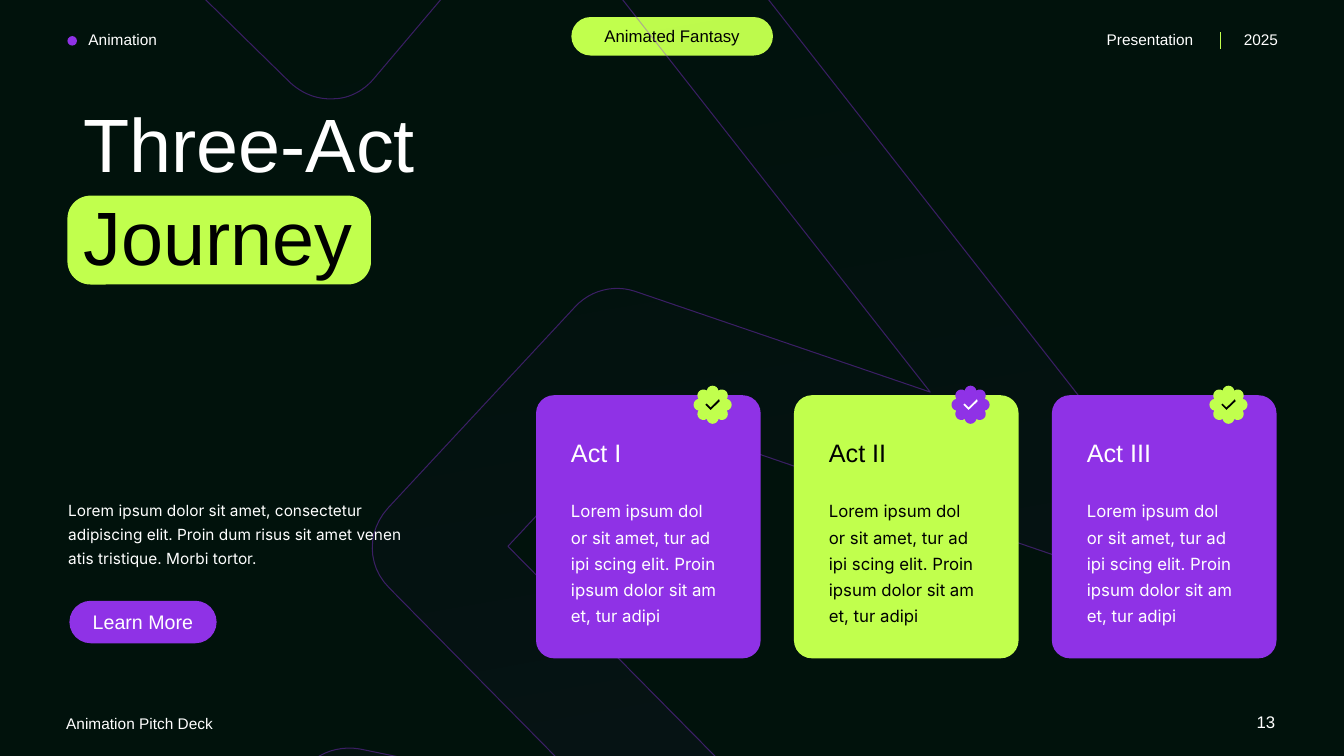
import math

import lxml.etree
import pptx
import pptx.dml.color
import pptx.enum.shapes
import pptx.enum.text
import pptx.oxml.ns
import pptx.util

Cm = pptx.util.Cm
Pt = pptx.util.Pt
RGBColor = pptx.dml.color.RGBColor
SHAPE = pptx.enum.shapes.MSO_SHAPE
ANCHOR = pptx.enum.text.MSO_ANCHOR
ALIGN = pptx.enum.text.PP_ALIGN
qn = pptx.oxml.ns.qn

NIGHT = RGBColor(0x01, 0x12, 0x0C)
LIME = RGBColor(0xC1, 0xFF, 0x4D)
PURPLE = RGBColor(0x8F, 0x32, 0xE6)
WHITE = RGBColor(0xFF, 0xFF, 0xFF)
BLACK = RGBColor(0, 0, 0)

RIBBON_UNIT = Cm(2.54)
# Two numbers make a straight line, six a Bezier curve.
RIBBON = [
    (1.92, -0.12), (1.92, -1.71), (3.24, -0.41), (4.9, -2.38),
    (5.01, -2.51, 5.17, -2.58, 5.34, -2.58), (5.51, -2.57, 5.68, -2.49, 5.78, -2.36),
    (11.3, 4.69), (11.38, 4.8, 11.42, 4.92, 11.42, 5.04),
    (11.42, 5.16, 11.38, 5.27, 11.31, 5.37), (11.17, 5.57, 10.91, 5.66, 10.67, 5.58),
    (6.29, 4.08), (5.04, 5.42), (8.02, 8.44),
    (8.2, 8.62, 8.24, 8.89, 8.12, 9.11), (8, 9.33, 7.75, 9.45, 7.5, 9.4),
    (4.93, 8.87), (6.89, 11.2), (5.41, 11.2), (3.02, 8.35),
    (2.87, 8.17, 2.84, 7.9, 2.97, 7.7), (3.09, 7.49, 3.33, 7.39, 3.57, 7.43),
    (5.91, 7.91), (3.86, 5.83), (3.64, 5.61, 3.64, 5.27, 3.85, 5.04),
    (5.71, 3.04), (5.86, 2.88, 6.09, 2.82, 6.3, 2.89), (9.23, 3.89),
    (5.31, -1.11), (3.71, 0.78), (3.61, 0.9, 3.46, 0.98, 3.31, 0.98),
    (3.15, 0.99, 3, 0.93, 2.88, 0.82),
]
CHECK = [(0.16, -0.14), (-0.05, 0.07), (-0.15, -0.03), (-0.18, 0), (-0.05, 0.13), (0.18, -0.09)]
ACT_LINES = ["Lorem ipsum dol", "or sit amet, tur ad",
             "ipi scing elit. Proin ipsum dolor sit am", "et, tur adipi"]
ACTS = [("Act I", PURPLE, WHITE, LIME, BLACK),
        ("Act II", LIME, BLACK, PURPLE, WHITE),
        ("Act III", PURPLE, WHITE, LIME, BLACK)]


def set_font(para, size, color, name="Arial"):
    para.font.size = Pt(size)
    para.font.name = name
    para.font.color.rgb = color


def add_text(page, left, top, width, height, lines, size, color,
             align=ALIGN.LEFT, name="Arial", spacing=None):
    box = page.shapes.add_textbox(Cm(left), Cm(top), Cm(width), Cm(height))
    frame = box.text_frame
    frame.word_wrap = True
    frame.text = "\n".join(lines)
    for para in frame.paragraphs:
        para.alignment = align
        para.line_spacing = spacing
        set_font(para, size, color, name)
    return frame


def add_solid(page, kind, left, top, width, height, color, corner=None):
    shape = page.shapes.add_shape(kind, Cm(left), Cm(top), Cm(width), Cm(height))
    shape.shadow.inherit = False
    shape.fill.solid()
    shape.fill.fore_color.rgb = color
    shape.line.fill.background()
    if corner is not None:
        shape.adjustments[0] = corner
    return shape


def add_pill(page, left, top, width, height, color, label, size, text_color):
    frame = add_solid(page, SHAPE.ROUNDED_RECTANGLE, left, top, width, height, color, 0.5).text_frame
    frame.margin_top = frame.margin_bottom = 0
    frame.vertical_anchor = ANCHOR.MIDDLE
    para = frame.paragraphs[0]
    para.text = label
    para.alignment = ALIGN.CENTER
    set_font(para, size, text_color)


def add_outline(page, points):
    """Closed freeform through points given in EMU."""
    builder = page.shapes.build_freeform(*points[0])
    builder.add_line_segments(points[1:], close=True)
    shape = builder.convert_to_shape()
    shape.shadow.inherit = False
    return shape


def flatten(segments, steps=12):
    """Turn lines and Bezier curves into a list of points."""
    points = []
    for segment in segments:
        if len(segment) == 2:
            points.append(segment)
            continue
        corners = [points[-1], segment[:2], segment[2:4], segment[4:]]
        for step in range(1, steps + 1):
            t = step / steps
            weights = [math.comb(3, i) * t ** i * (1 - t) ** (3 - i) for i in range(4)]
            points.append(tuple(sum(w * c[axis] for w, c in zip(weights, corners))
                                for axis in (0, 1)))
    return points


def add_ribbon(page):
    points = [(round(x * RIBBON_UNIT), round(y * RIBBON_UNIT)) for x, y in flatten(RIBBON)]
    ribbon = add_outline(page, points)
    ribbon.fill.gradient()
    ribbon.fill.gradient_angle = 280
    for stop, color in zip(ribbon.fill.gradient_stops, (NIGHT, PURPLE)):
        stop.color.rgb = color
    ribbon.line.color.rgb = PURPLE
    ribbon.line.width = Pt(0.75)
    colors = ribbon._element.spPr.iter(qn("a:srgbClr"))
    for color, alpha in zip(list(colors), (0, 9000, 40000)):
        lxml.etree.SubElement(color, qn("a:alpha")).set("val", str(alpha))


def add_header(page, left, top, width):
    right = left + width
    label_top = top + 0.21
    add_text(page, left + 0.56, label_top, 3.25, 0.74, ["Animation"], 11, WHITE)
    add_solid(page, SHAPE.OVAL, left + 0.28, top + 0.48, 0.24, 0.24, PURPLE)
    add_text(page, right - 4.82, label_top, 2.95, 0.74, ["Presentation"], 11, WHITE)
    add_text(page, right - 1.57, label_top, 1.57, 0.74, ["2025"], 11, WHITE, ALIGN.RIGHT)
    divider = page.shapes.add_connector(
        pptx.enum.shapes.MSO_CONNECTOR.STRAIGHT,
        Cm(right - 1.7), Cm(top + 0.38), Cm(right - 1.7), Cm(top + 0.8))
    divider.line.color.rgb = LIME
    divider.line.width = Pt(1)
    lxml.etree.SubElement(divider._element.spPr, qn("a:effectLst"))
    add_pill(page, left + width / 2 - 2.54, top, 5.08, 0.97, LIME, "Animated Fantasy", 12, BLACK)


def add_footer(page, left, top, width):
    add_text(page, left + width - 1.73, top, 1.73, 0.76, ["13"], 12, WHITE, ALIGN.RIGHT)
    add_text(page, left, top + 0.05, 6.73, 0.74, ["Animation Pitch Deck"], 11, WHITE)


def add_heading(page, left, top):
    add_solid(page, SHAPE.ROUNDED_RECTANGLE, left, top + 2.62, 7.65, 2.24, LIME, 0.26)
    frame = add_text(page, left + 0.15, top, 9.7, 4.88, ["Three-Act "], 54, WHITE, spacing=1.02)
    frame.vertical_anchor = ANCHOR.BOTTOM
    span = frame.paragraphs[0].add_run()
    span.text = "Journey"
    span.font.color.rgb = BLACK


def add_intro(page, left, top):
    add_text(page, left, top, 9.27, 2.03,
             ["Lorem ipsum dolor sit amet, consectetur adipiscing elit. "
              "Proin dum risus sit amet venen atis tristique. Morbi tortor."],
             11, WHITE, name="Inter", spacing=1.3)
    add_pill(page, left + 0.28, top + 2.77, 3.71, 1.07, PURPLE, "Learn More", 14, WHITE)


def add_badge(page, center_x, center_y, color, check_color):
    """Eight-petal rosette with a check mark."""
    petals = []
    for petal in range(8):
        axis = petal * 45
        for turn in range(-80, 81, 20):
            petals.append(tuple(
                0.33 * wave(math.radians(axis)) + 0.15 * wave(math.radians(axis + turn))
                for wave in (math.cos, math.sin)))
    for outline, fill in ((petals, color), (CHECK, check_color)):
        shape = add_outline(page, [(Cm(center_x + x), Cm(center_y + y)) for x, y in outline])
        shape.fill.solid()
        shape.fill.fore_color.rgb = fill
        shape.line.fill.background()


def add_act(page, left, top, title, color, text_color, badge_color, check_color):
    add_solid(page, SHAPE.ROUNDED_RECTANGLE, left, top, 5.66, 6.63, color, 0.08)
    add_text(page, left + 0.63, top + 2.39, 4.7, 3.53, ACT_LINES, 12, text_color,
             name="Inter", spacing=1.3)
    add_text(page, left + 0.63, top + 0.94, 4.34, 1.02, [title], 18, text_color)
    add_badge(page, left + 4.45, top + 0.24, badge_color, check_color)


def main():
    deck = pptx.Presentation()
    deck.slide_width, deck.slide_height = Cm(33.87), Cm(19.05)
    page = deck.slides.add_slide(deck.slide_layouts[6])
    page.background.fill.solid()
    page.background.fill.fore_color.rgb = NIGHT
    add_header(page, 1.42, 0.43, 31.04)
    add_footer(page, 1.42, 17.81, 30.97)
    add_ribbon(page)
    add_heading(page, 1.7, 2.31)
    for index, act in enumerate(ACTS):
        add_act(page, 13.51 + 6.5 * index, 9.96, *act)
    add_intro(page, 1.47, 12.37)
    deck.save("out.pptx")


if __name__ == "__main__":
    main()
